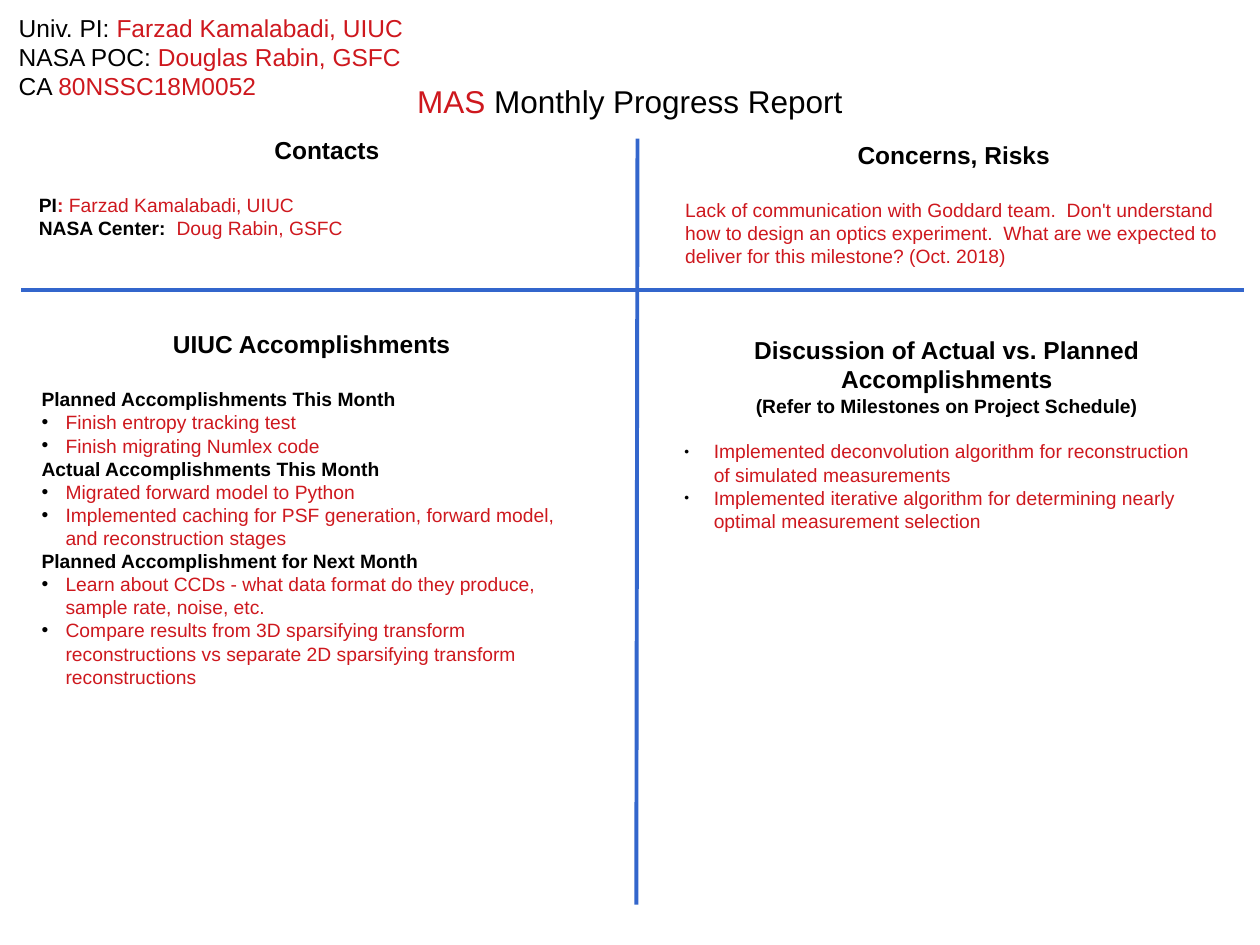
from lxml import etree
from pptx import Presentation
from pptx.dml.color import RGBColor
from pptx.enum import shapes, text
from pptx.oxml import ns
from pptx.util import Pt

BLACK = RGBColor(0, 0, 0)
RED = RGBColor(0xCE, 0x18, 0x1E)
BLUE = RGBColor(0x33, 0x66, 0xCC)
HEAD, BODY, TITLE = 14, 11, 18


def frame(slide, box, side=7.2, edge=3.6):
    area = slide.shapes.add_textbox(*map(Pt, box)).text_frame
    area.word_wrap = True
    area.margin_left = area.margin_right = Pt(side)
    area.margin_top = area.margin_bottom = Pt(edge)
    return area


def para(area, *runs, size=BODY, mid=False, gap=0):
    line = area.paragraphs[0]
    if line.runs:
        line = area.add_paragraph()
    line.alignment = text.PP_ALIGN.CENTER if mid else text.PP_ALIGN.LEFT
    line.space_before = Pt(gap)
    for words, color, bold in runs:
        run = line.add_run()
        run.text = words
        font = run.font
        font.name, font.size, font.bold = "Arial", Pt(size), bold
        font.color.rgb = color
    return line


def head(area, words):
    para(area, (words, BLACK, True), size=HEAD, mid=True)


def item(area, words, mark="•", inset=13.7, scale=100, gap=0):
    props = para(area, (words, RED, False), gap=gap)._p.get_or_add_pPr()
    props.set("marL", str(Pt(inset)))
    props.set("indent", str(-Pt(inset)))
    tint = etree.SubElement(props, ns.qn("a:buClr"))
    etree.SubElement(tint, ns.qn("a:srgbClr"), val=str(BLACK))
    etree.SubElement(props, ns.qn("a:buSzPct"), val=str(scale * 1000))
    etree.SubElement(props, ns.qn("a:buFont"), typeface="Arial")
    etree.SubElement(props, ns.qn("a:buChar"), char=mark)


def rule(slide, *ends):
    line = slide.shapes.add_connector(
        shapes.MSO_CONNECTOR.STRAIGHT, *map(Pt, ends))
    line.line.color.rgb = BLUE
    line.line.width = Pt(2.25)
    etree.SubElement(line._element.spPr, ns.qn("a:effectLst"))


def cross(slide, box):
    left, top, wide, high = box
    rule(slide, 364.3, top, 363.6, top + high)
    rule(slide, left, 165.6, left + wide, 165.6)


def title(slide, box):
    para(frame(slide, box), ("MAS", RED, False),
         (" Monthly Progress Report", BLACK, False), size=TITLE, mid=True)


def grant(slide, box):
    area = frame(slide, box)
    for label, value in (("Univ. PI: ", "Farzad Kamalabadi, UIUC"),
                         ("NASA POC: ", "Douglas Rabin, GSFC"),
                         ("CA ", "80NSSC18M0052")):
        para(area, (label, BLACK, False), (value, RED, False), size=HEAD)


def people(slide, box):
    area = frame(slide, box)
    head(area, "Contacts")
    para(area, ("PI", BLACK, True), (": ", RED, True),
         ("Farzad Kamalabadi, UIUC", RED, False), gap=16.5)
    para(area, ("NASA Center:  ", BLACK, True),
         ("Doug Rabin, GSFC", RED, False))


def risks(slide, box):
    area = frame(slide, box)
    head(area, "Concerns, Risks")
    para(area, ("Lack of communication with Goddard team.  Don't understand "
                "how to design an optics experiment.  What are we expected to "
                "deliver for this milestone? (Oct. 2018)", RED, False),
         gap=16.5)


def work(slide, box):
    area = frame(slide, box, 6.5, 3.2)
    head(area, "UIUC Accomplishments")
    groups = (
        ("Planned Accomplishments This Month",
         ("Finish entropy tracking test", "Finish migrating Numlex code")),
        ("Actual Accomplishments This Month",
         ("Migrated forward model to Python",
          "Implemented caching for PSF generation, forward model, "
          "and reconstruction stages")),
        ("Planned Accomplishment for Next Month",
         ("Learn about CCDs - what data format do they produce, "
          "sample rate, noise, etc.",
          "Compare results from 3D sparsifying transform reconstructions "
          "vs separate 2D sparsifying transform reconstructions")))
    for rank, (label, points) in enumerate(groups):
        para(area, (label, BLACK, True), gap=0 if rank else 16.5)
        for point in points:
            item(area, point)


def review(slide, box):
    area = frame(slide, box)
    head(area, "Discussion of Actual vs. Planned Accomplishments")
    para(area, ("(Refer to Milestones on Project Schedule)", BLACK, True),
         mid=True)
    points = ("Implemented deconvolution algorithm for reconstruction "
              "of simulated measurements",
              "Implemented iterative algorithm for determining nearly "
              "optimal measurement selection")
    for rank, point in enumerate(points):
        item(area, point, "●", 17, 45, 0 if rank else 13)


def main():
    deck = Presentation()
    deck.slide_width, deck.slide_height = Pt(720), Pt(540)
    slide = deck.slides.add_slide(deck.slide_layouts[6])
    cross(slide, (12.2, 79.2, 698.4, 437.8))
    review(slide, (383.8, 187.9, 314.6, 168.5))
    people(slide, (15.1, 73.4, 343.4, 169.2))
    work(slide, (17.3, 185, 321.8, 180))
    title(slide, (21.6, 43.2, 676.8, 27.4))
    grant(slide, (3.6, 3.6, 289.4, 61.2))
    risks(slide, (384.5, 76.3, 321.1, 88.6))
    deck.save("out.pptx")


if __name__ == "__main__":
    main()
